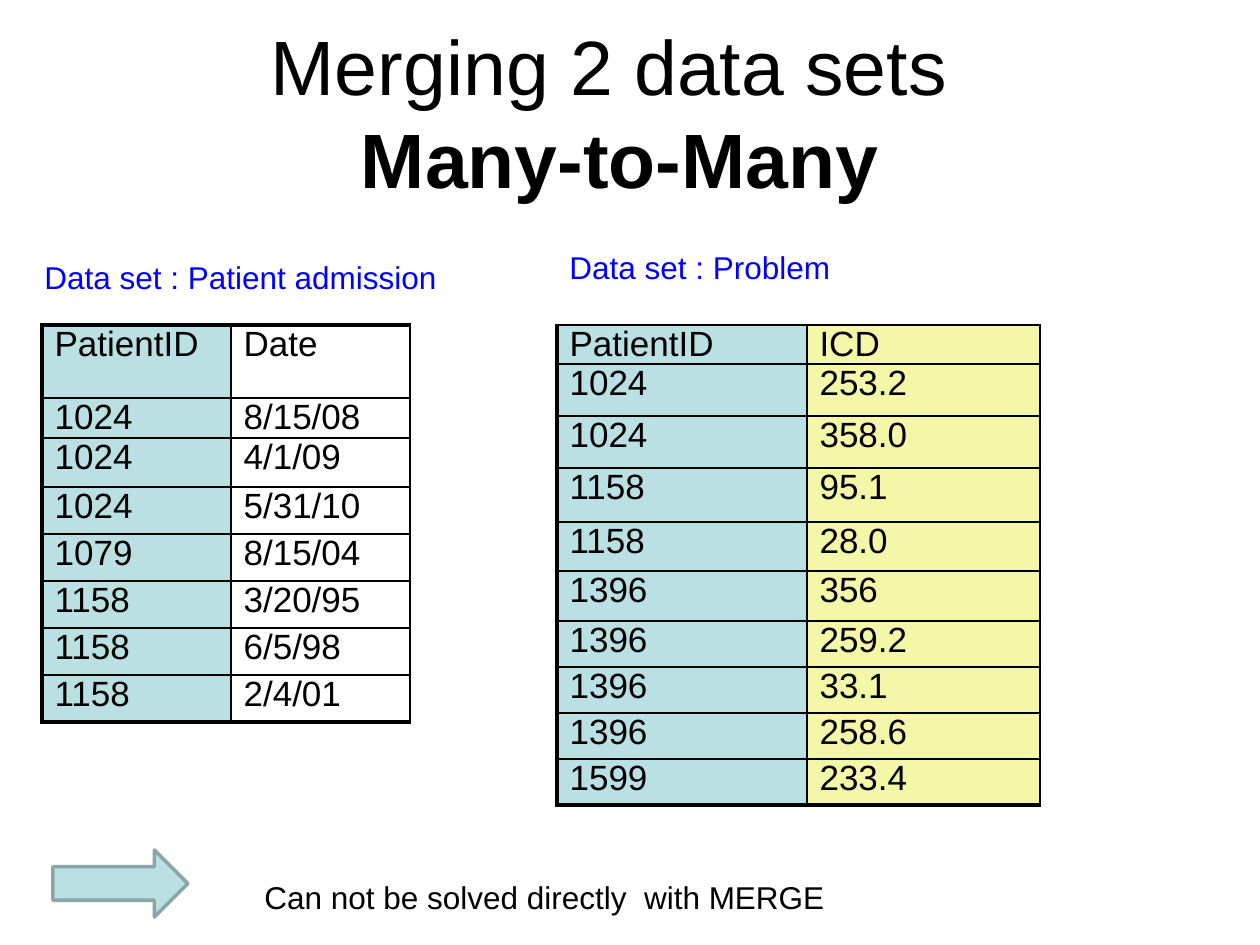
from lxml.etree import SubElement
from pptx import Presentation
from pptx.dml.color import RGBColor
from pptx.enum.shapes import MSO_SHAPE
from pptx.enum.text import MSO_ANCHOR, PP_ALIGN
from pptx.oxml import parse_xml
from pptx.oxml.ns import nsdecls
from pptx.util import Emu, Pt

PX = 914400 / 126
FONT = "Arial"
BLACK = RGBColor(0x00, 0x00, 0x00)
BLUE = RGBColor(0x00, 0x00, 0xFF)
TEAL = RGBColor(0xBB, 0xE0, 0xE3)
TEAL_EDGE = RGBColor(0x8A, 0xA6, 0xA8)
YELLOW = RGBColor(0xF4, 0xF6, 0xA8)
THIN, THICK = 1, 2.25

ADMISSIONS = [
    ("PatientID", "Date"), ("1024", "8/15/08"), ("1024", "4/1/09"), ("1024", "5/31/10"),
    ("1079", "8/15/04"), ("1158", "3/20/95"), ("1158", "6/5/98"), ("1158", "2/4/01"),
]
PROBLEMS = [
    ("PatientID", "ICD"), ("1024", "253.2"), ("1024", "358.0"), ("1158", "95.1"),
    ("1158", "28.0"), ("1396", "356"), ("1396", "259.2"), ("1396", "33.1"),
    ("1396", "258.6"), ("1599", "233.4"),
]


def px(length):
    """Turn a length in px into EMU."""
    return Emu(round(length * PX))


def style_runs(paragraph, size, color):
    """Give every run of a paragraph the slide font."""
    for run in paragraph.runs:
        run.font.name = FONT
        run.font.size = Pt(size)
        run.font.color.rgb = color


def add_title(slide, box):
    """Place the two-line title, with the second line bold."""
    text_frame = slide.shapes.add_textbox(*map(px, box)).text_frame
    text_frame.word_wrap = True
    text_frame.vertical_anchor = MSO_ANCHOR.MIDDLE
    paragraph = text_frame.paragraphs[0]
    paragraph.text = "Merging 2 data sets \vMany-to-Many"
    paragraph.alignment = PP_ALIGN.CENTER
    style_runs(paragraph, 44, BLACK)
    paragraph.runs[-1].font.bold = True


def add_label(slide, box, text, color):
    """Place a single line of text."""
    text_frame = slide.shapes.add_textbox(*map(px, box)).text_frame
    text_frame.word_wrap = False
    text_frame.text = text
    style_runs(text_frame.paragraphs[0], 18, color)


def set_borders(cell, left, right, top, bottom):
    """Draw black borders of the given point widths around a cell."""
    properties = cell._tc.get_or_add_tcPr()
    sides = {"lnL": left, "lnR": right, "lnT": top, "lnB": bottom}
    for index, (side, width) in enumerate(sides.items()):
        line = parse_xml(f'<a:{side} {nsdecls("a")} w="{Pt(width)}"><a:solidFill/></a:{side}>')
        SubElement(line[0], f"{{{line.nsmap['a']}}}srgbClr", val=str(BLACK))
        properties.insert(index, line)


def add_data_table(slide, left, top, rows, widths, heights, value_color, top_border):
    """Place a two-column data set with a teal key column."""
    frame = slide.shapes.add_table(
        len(rows), len(widths), px(left), px(top), px(sum(widths)), px(sum(heights)))
    table = frame.table
    table.first_row = False
    table.horz_banding = False
    for column, width in zip(table.columns, widths):
        column.width = px(width)
    for row_index, (values, height) in enumerate(zip(rows, heights)):
        table.rows[row_index].height = px(height)
        for column_index, (value, color) in enumerate(zip(values, (TEAL, value_color))):
            cell = table.cell(row_index, column_index)
            cell.text = value
            cell.margin_top = cell.margin_bottom = 0
            style_runs(cell.text_frame.paragraphs[0], 20, BLACK)
            if color is None:
                cell.fill.background()
            else:
                cell.fill.solid()
                cell.fill.fore_color.rgb = color
            set_borders(
                cell,
                left=THICK if column_index == 0 else THIN,
                right=THIN,
                top=top_border if row_index == 0 else THIN,
                bottom=THICK if row_index == len(rows) - 1 else THIN)


def add_conclusion(slide, left, top):
    """Place the arrow and the closing remark beside it."""
    arrow = slide.shapes.add_shape(
        MSO_SHAPE.RIGHT_ARROW, px(left), px(top), px(135), px(67))
    arrow.shadow.inherit = False
    arrow.fill.solid()
    arrow.fill.fore_color.rgb = TEAL
    arrow.line.color.rgb = TEAL_EDGE
    arrow.line.width = Pt(2)
    add_label(slide, (left + 199, top + 22, 591, 50),
              "Can not be solved directly  with MERGE", BLACK)


def main():
    """Build the slide and save it."""
    presentation = Presentation()
    presentation.slide_width, presentation.slide_height = px(1260), px(945)
    slide = presentation.slides.add_slide(presentation.slide_layouts[6])
    add_data_table(slide, 557, 325, PROBLEMS, (250, 233),
                   [39, 52, 52, 54, 49, 50] + [46] * 4, YELLOW, THIN)
    add_data_table(slide, 42, 325, ADMISSIONS, (189, 179),
                   [73, 40, 49] + [47] * 5, None, THICK)
    add_label(slide, (32, 252, 421, 50), "Data set : Patient admission", BLUE)
    add_label(slide, (557, 242, 289, 50), "Data set : Problem", BLUE)
    add_title(slide, (53, 32, 1134, 158))
    add_conclusion(slide, 53, 850)
    presentation.save("out.pptx")


if __name__ == "__main__":
    main()
